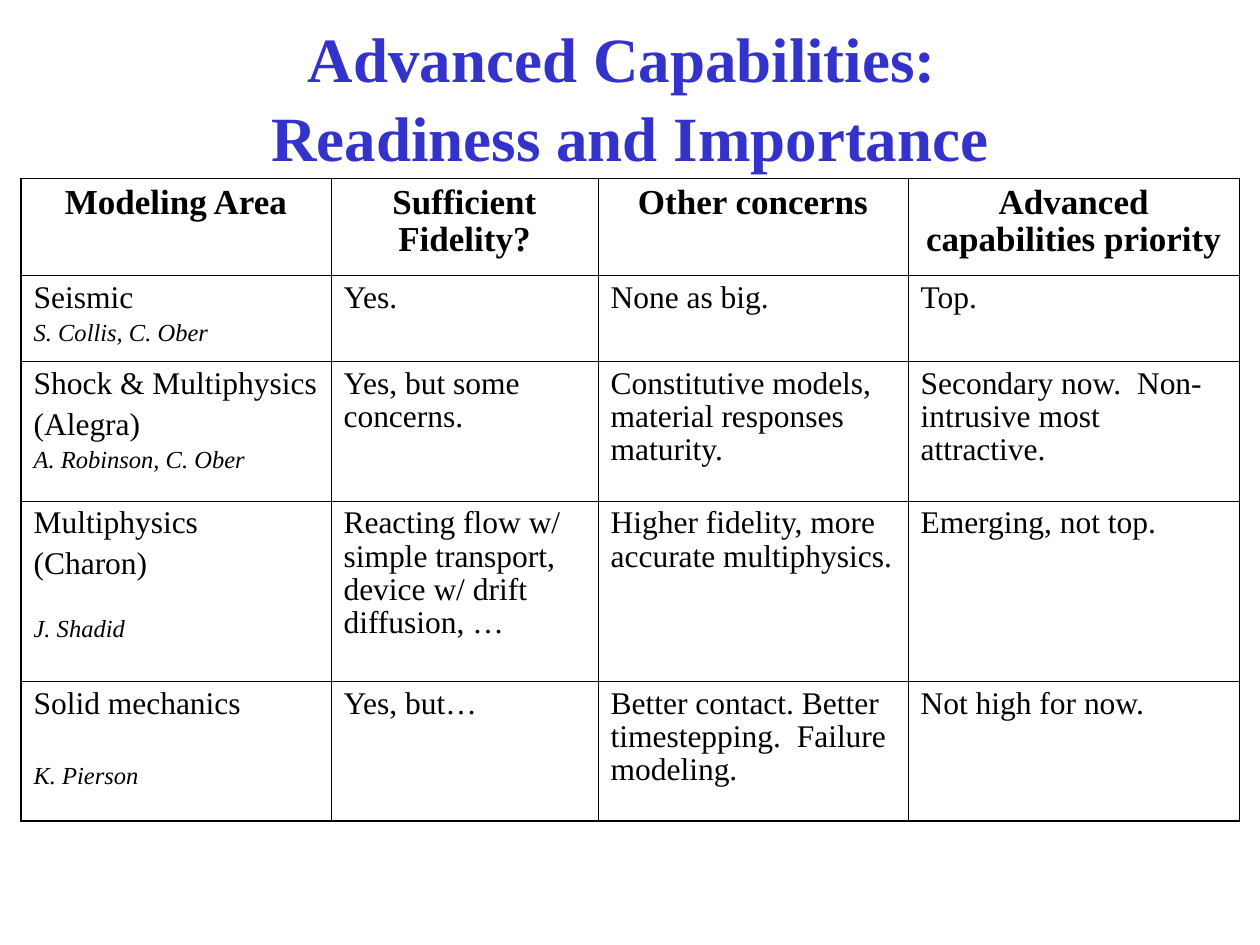
from dataclasses import dataclass

from lxml.etree import SubElement
from pptx import Presentation
from pptx.dml.color import RGBColor as Rgb
from pptx.enum.text import MSO_ANCHOR as Anchor, PP_ALIGN as Align
from pptx.oxml.ns import qn
from pptx.util import Inches, Pt


@dataclass(frozen=True)
class Theme:
    font: str = "Times New Roman"
    blue: str = "3333CC"
    ink: str = "000000"
    title: int = 36
    head: int = 20
    body: int = 18
    name: int = 14
    thick: float = 1.08
    thin: float = 0.45


LOOK = Theme()
COLS = [246, 212, 246, 263]
ROWS = [77, 68, 111, 143, 111]
HEAD = ["Modeling Area", "Sufficient Fidelity?", "Other concerns",
        "Advanced capabilities priority"]
# Area lines, people, space before people, then the other columns
AREAS = [
    (["Seismic"], "S. Collis, C. Ober", 3.5,
     ["Yes.", "None as big.", "Top."]),
    (["Shock & Multiphysics", "(Alegra)"], "A. Robinson, C. Ober", 3.5,
     ["Yes, but some concerns.",
      "Constitutive models, material responses maturity.",
      "Secondary now.  Non-intrusive most attractive."]),
    (["Multiphysics", "(Charon)"], "J. Shadid", 20,
     ["Reacting flow w/ simple transport, device w/ drift diffusion, …",
      "Higher fidelity, more accurate multiphysics.",
      "Emerging, not top."]),
    (["Solid mechanics"], "K. Pierson", 24.5,
     ["Yes, but…",
      "Better contact. Better timestepping.  Failure modeling.",
      "Not high for now."]),
]


def write(frame, text, size=LOOK.body, color=LOOK.ink, bold=False,
          italic=False, align=Align.LEFT, before=0, pitch=0.95):
    """Add one paragraph, filling the empty first one if there is one."""
    para = frame.paragraphs[0]
    if para.text:
        para = frame.add_paragraph()
        para.space_before = Pt(before)
    para.text = text
    para.alignment = align
    para.line_spacing = pitch
    for run in para.runs:
        font = run.font
        font.name, font.size = LOOK.font, Pt(size)
        font.bold, font.italic = bold, italic
        font.color.rgb = Rgb.from_string(color)


def share(total, parts):
    return [int(total * part / sum(parts)) for part in parts]


def rule(cell, row, col):
    """Border a cell: thick on the table's outer edge, thin inside."""
    cell.fill.background()
    edges = {"lnL": col == 0, "lnR": col == len(COLS) - 1,
             "lnT": row == 0, "lnB": row == len(ROWS) - 1}
    props = cell._tc.get_or_add_tcPr()
    for spot, (tag, outer) in enumerate(edges.items()):
        width = Pt(LOOK.thick if outer else LOOK.thin)
        line = SubElement(props, qn(f"a:{tag}"), w=str(int(width)))
        fill = SubElement(line, qn("a:solidFill"))
        SubElement(fill, qn("a:srgbClr"), val=LOOK.ink)
        props.insert(spot, line)


def draw_title(slide, box):
    frame = slide.shapes.add_textbox(*box).text_frame
    frame.word_wrap = True
    frame.vertical_anchor = Anchor.MIDDLE
    write(frame, "Advanced Capabilities: \vReadiness and Importance",
          size=LOOK.title, color=LOOK.blue, bold=True,
          align=Align.CENTER, pitch=1.04)


def draw_table(slide, box):
    table = slide.shapes.add_table(len(ROWS), len(COLS), *box).table
    table.first_row = table.horz_banding = False
    for col, width in zip(table.columns, share(box[2], COLS)):
        col.width = width
    for row, height in zip(table.rows, share(box[3], ROWS)):
        row.height = height
    for r in range(len(ROWS)):
        for c in range(len(COLS)):
            rule(table.cell(r, c), r, c)
    for c, text in enumerate(HEAD):
        write(table.cell(0, c).text_frame, text, size=LOOK.head,
              bold=True, align=Align.CENTER)
    for r, (lines, people, gap, notes) in enumerate(AREAS, 1):
        area = table.cell(r, 0).text_frame
        for line in lines:
            write(area, line, before=4.5)
        write(area, people, size=LOOK.name, italic=True, before=gap)
        for c, note in enumerate(notes, 1):
            write(table.cell(r, c).text_frame, note)


def main():
    deck = Presentation()
    deck.slide_width, deck.slide_height = Inches(10), Inches(7.5)
    wide, high = deck.slide_width, deck.slide_height
    slide = deck.slides.add_slide(deck.slide_layouts[6])

    def area(left, top, width, height):
        """Turn percentages of the slide into a box."""
        return [int(part * side / 100) for part, side in
                ((left, wide), (top, high), (width, wide), (height, high))]

    draw_title(slide, area(7.5, 2.27, 85, 15.6))
    draw_table(slide, area(1.67, 18.9, 96.7, 68))
    deck.save("out.pptx")


if __name__ == "__main__":
    main()
